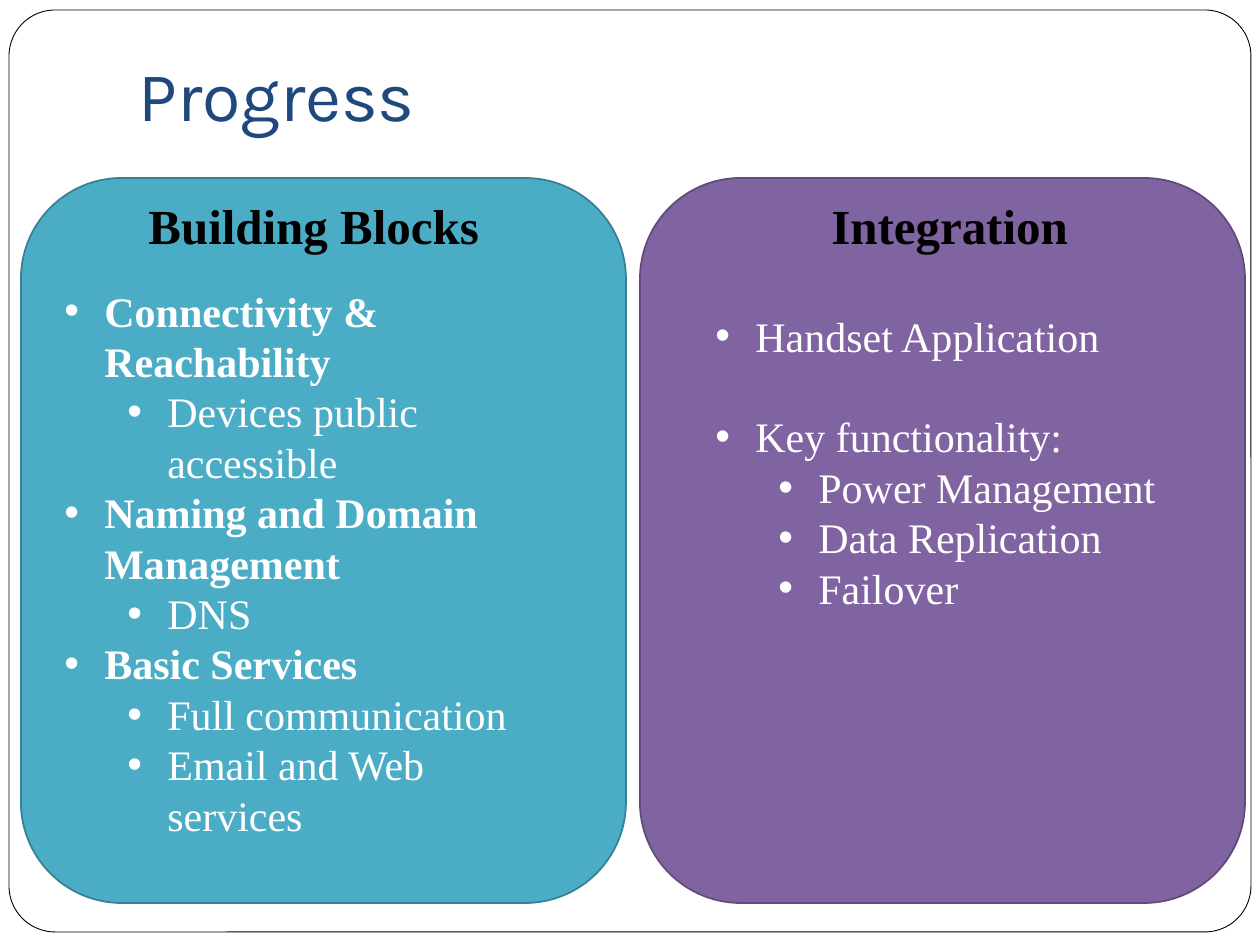
from pptx import Presentation
from pptx.dml.color import RGBColor
from pptx.enum.shapes import MSO_SHAPE as Shape
from pptx.enum.text import MSO_ANCHOR as Anchor, MSO_AUTO_SIZE as AutoSize
from pptx.oxml.ns import qn
from pptx.util import Emu, Pt
from lxml import etree

PX_PER_INCH = 126
SERIF = "Times New Roman"
WHITE = "FFFFFF"
BLACK = "000000"


def px(length):
    return Emu(round(length * 914400 / PX_PER_INCH))


def color(value):
    return RGBColor.from_string(value)


class Deck:
    line_ratio = 1.2
    bullet_hang = 40
    level_step = 63

    def __init__(self, width, height):
        self.presentation = Presentation()
        self.presentation.slide_width = px(width)
        self.presentation.slide_height = px(height)
        self.slide = self.presentation.slides.add_slide(
            self.presentation.slide_layouts[6])

    def rounded_box(self, box, fill, line, line_width, corner=None):
        shape = self.slide.shapes.add_shape(
            Shape.ROUNDED_RECTANGLE, *map(px, box))
        shape.shadow.inherit = False
        shape.fill.solid()
        shape.fill.fore_color.rgb = color(fill)
        shape.line.color.rgb = color(line)
        shape.line.width = Pt(line_width)
        if corner is not None:
            shape.adjustments[0] = corner

    def text_box(self, box):
        text_frame = self.slide.shapes.add_textbox(*map(px, box)).text_frame
        text_frame.word_wrap = True
        return text_frame

    def format_runs(self, paragraph, size, font, fill, bold=False):
        for run in paragraph.runs:
            run.font.size = Pt(size)
            run.font.name = font
            run.font.bold = bold
            run.font.color.rgb = color(fill)

    def title(self, box, text):
        text_frame = self.text_box(box)
        text_frame.vertical_anchor = Anchor.BOTTOM
        text_frame.margin_bottom = px(13)
        text_frame.text = text
        self.format_runs(text_frame.paragraphs[0], 40, "Karla", "1F497D")

    def heading(self, box, text, size=28):
        text_frame = self.text_box(box)
        text_frame.text = text
        paragraph = text_frame.paragraphs[0]
        paragraph.line_spacing = Pt(size * self.line_ratio)
        self.format_runs(paragraph, size, SERIF, BLACK, True)

    def bullet_list(self, box, items, bold_top=False, top_gap=0, size=24):
        """Add (level, text) items, with top_gap points before later top items."""
        text_frame = self.text_box(box)
        text_frame.auto_size = AutoSize.SHAPE_TO_FIT_TEXT
        text_frame.text = "\n".join(text for _, text in items)
        for index, (level, _) in enumerate(items):
            paragraph = text_frame.paragraphs[index]
            paragraph.level = level
            paragraph.line_spacing = Pt(size * self.line_ratio)
            if top_gap and index and level == 0:
                paragraph.space_before = Pt(top_gap)
            self.bullet(paragraph, level)
            self.format_runs(paragraph, size, SERIF, WHITE,
                             bold_top and level == 0)

    def bullet(self, paragraph, level):
        properties = paragraph._p.get_or_add_pPr()
        left = self.bullet_hang + level * self.level_step
        properties.set("marL", str(px(left)))
        properties.set("indent", str(-px(self.bullet_hang)))
        etree.SubElement(properties, qn("a:buFont")).set("typeface", "Arial")
        etree.SubElement(properties, qn("a:buChar")).set("char", "•")


def main():
    deck = Deck(1260, 945)
    deck.rounded_box((9, 10, 1242, 922), WHITE, BLACK, 0.5, 0.05)
    deck.title((126, -9, 1071, 157), "Progress")

    card_top, card_width, card_height = 178, 605, 725
    for left, fill, line in ((21, "4BACC6", "377F92"),
                             (640, "8064A2", "5F4A78")):
        deck.rounded_box((left, card_top, card_width, card_height),
                         fill, line, 1)

    deck.bullet_list((52, 279, 525, 567), [
        (0, "Connectivity & Reachability"),
        (1, "Devices public accessible"),
        (0, "Naming and Domain Management"),
        (1, "DNS"),
        (0, "Basic Services"),
        (1, "Full communication"),
        (1, "Email and Web services"),
    ], bold_top=True)
    deck.heading((136, 189, 399, 72), "Building Blocks")

    deck.bullet_list((703, 304, 473, 315), [
        (0, "Handset Application"),
        (0, "Key functionality:"),
        (1, "Power Management"),
        (1, "Data Replication"),
        (1, "Failover"),
    ], top_gap=28.8)
    deck.heading((819, 189, 266, 72), "Integration")

    deck.presentation.save("out.pptx")


if __name__ == "__main__":
    main()
